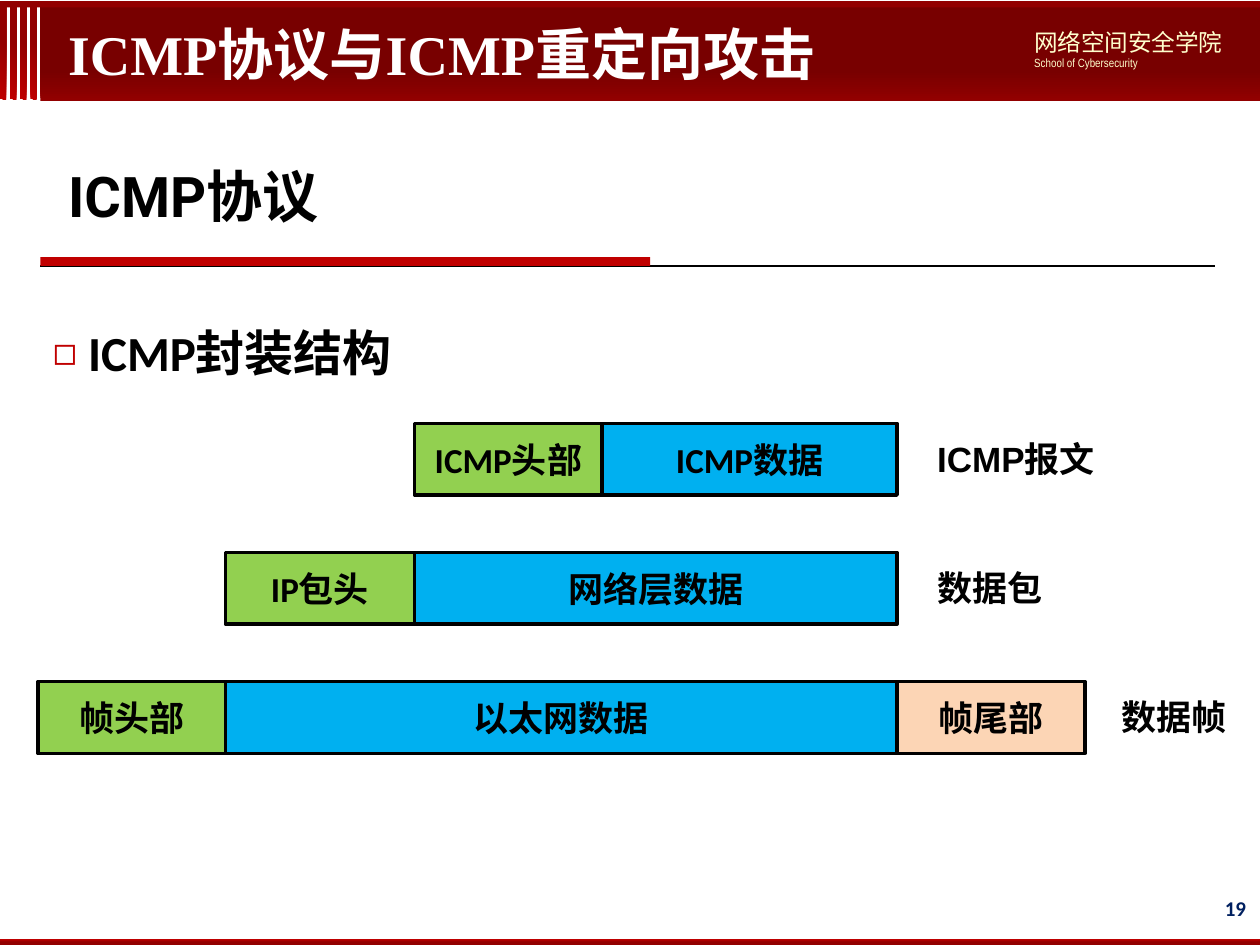
from lxml import etree
from pptx import Presentation
from pptx import util as u
from pptx.dml.color import RGBColor
from pptx.enum import shapes, text
from pptx.oxml.ns import qn

COLORS = {
    "red": "C00000", "dark": "920000", "deep": "780000", "cream": "FFFFCD",
    "white": "FFFFFF", "black": "000000", "navy": "002060",
    "header": "92D050", "data": "00B0F0", "trailer": "FCD5B5",
}
CJK_FONT = "Noto Sans CJK SC"


def rgb(name):
    return RGBColor.from_string(COLORS[name])


def inches(*lengths):
    return [u.Inches(length) for length in lengths]


def write(paragraph, content, font="Calibri", size=20, color="black", bold=True, align=None):
    """Add one run to the paragraph, with the East Asian font set as well."""
    if align is not None:
        paragraph.alignment = align
    run = paragraph.add_run()
    run.text = content
    run.font.name = font
    run.font.size = u.Pt(size)
    run.font.bold = bold
    run.font.color.rgb = rgb(color)
    etree.SubElement(run.font._element, qn("a:ea"), typeface=CJK_FONT)


def set_bullet(paragraph, char=None, color="red", percent=80, indent=0.28):
    """Set the bullet character, or remove the bullet when there is none."""
    props = paragraph._p.get_or_add_pPr()
    hang = u.Inches(indent) if char else 0
    props.set("marL", str(hang))
    props.set("indent", str(-hang))
    if not char:
        etree.SubElement(props, qn("a:buNone"))
        return
    bullet_color = etree.SubElement(props, qn("a:buClr"))
    etree.SubElement(bullet_color, qn("a:srgbClr"), val=COLORS[color])
    etree.SubElement(props, qn("a:buSzPct"), val=str(percent * 1000))
    etree.SubElement(props, qn("a:buChar"), char=char)


class LessonSlide:
    def __init__(self, prs):
        self.slide = prs.slides.add_slide(prs.slide_layouts[3])
        self.shapes = self.slide.shapes

    def block(self, left, top, width, height, fill, label=None):
        """Draw a plain rectangle, outlined when it carries a label."""
        rect = self.shapes.add_shape(
            shapes.MSO_SHAPE.RECTANGLE, *inches(left, top, width, height))
        rect.shadow.inherit = False
        rect.fill.solid()
        rect.fill.fore_color.rgb = rgb(fill)
        if label is None:
            rect.line.fill.background()
            return rect
        rect.line.color.rgb = rgb("black")
        rect.line.width = u.Pt(2)
        frame = rect.text_frame
        frame.word_wrap = True
        frame.vertical_anchor = text.MSO_ANCHOR.MIDDLE
        write(frame.paragraphs[0], label, align=text.PP_ALIGN.CENTER)
        return rect

    def gradient_block(self, left, top, width, height, stops, angle):
        fill = self.block(left, top, width, height, "dark").fill
        fill.gradient()
        fill.gradient_angle = angle
        for stop, (position, color) in zip(fill.gradient_stops, stops):
            stop.position = position
            stop.color.rgb = rgb(color)

    def rule(self, left, right, y):
        line = self.shapes.add_connector(
            shapes.MSO_CONNECTOR.STRAIGHT, *inches(left, y, right, y))
        line.line.color.rgb = rgb("black")
        line.line.width = u.Pt(1.5)
        etree.SubElement(line._element.spPr, qn("a:effectLst"))

    def textbox(self, left, top, width, height):
        frame = self.shapes.add_textbox(*inches(left, top, width, height)).text_frame
        frame.word_wrap = True
        return frame

    def placeholder(self, idx, left, top, width, height, anchor=text.MSO_ANCHOR.TOP):
        """Place a template placeholder in front and return its first paragraph."""
        holder = self.slide.placeholders[idx]
        holder.left, holder.top, holder.width, holder.height = inches(left, top, width, height)
        self.shapes._spTree.append(holder._element)
        frame = holder.text_frame
        frame.word_wrap = True
        frame.auto_size = text.MSO_AUTO_SIZE.NONE
        frame.vertical_anchor = anchor
        paragraph = frame.paragraphs[0]
        paragraph.alignment = text.PP_ALIGN.LEFT
        paragraph.space_before = u.Pt(0)
        return paragraph


def add_banner(page):
    for i in range(4):
        page.gradient_block(0.08 * i, 0.05, 0.05, 0.74, [(0, "red"), (0.62, "dark")], 45)
    page.gradient_block(0.32, 0.06, 9.68, 0.74, [(0, "dark"), (0.32, "deep")], 90)
    page.gradient_block(0, 7.45, 10, 0.05, [(0.1, "red"), (0.54, "dark")], 270)
    page.block(0, 0.01, 10, 0.05, "dark")

    school = page.textbox(8.11, 0.17, 1.81, 0.44)
    write(school.paragraphs[0], "网络空间安全学院", CJK_FONT, 13.5, "cream", False)
    write(school.add_paragraph(), "School of Cybersecurity", "Arial Narrow", 6.8, "cream", False)

    number = page.textbox(7.63, 7.01, 2.33, 0.4)
    number.vertical_anchor = text.MSO_ANCHOR.MIDDLE
    number.margin_left = number.margin_right = u.Inches(0.07)
    number.margin_top = number.margin_bottom = u.Inches(0.04)
    write(number.paragraphs[0], "19", size=12, color="navy", align=text.PP_ALIGN.RIGHT)


def add_headings(page):
    page.rule(0.32, 9.64, 2.11)
    page.block(0.32, 2.04, 4.84, 0.07, "red")

    title = page.placeholder(0, 0.44, 0.05, 6.77, 0.74, text.MSO_ANCHOR.MIDDLE)
    for part in ("ICMP", "协议与", "ICMP", "重定向攻击"):
        font = "Times New Roman" if part == "ICMP" else "Calibri"
        write(title, part, font, 32, "white")

    subtitle = page.placeholder(1, 0.44, 1.23, 9.19, 0.75)
    set_bullet(subtitle)
    write(subtitle, "ICMP协议", "Roboto", 32)

    topic = page.placeholder(2, 0.32, 2.42, 9.31, 4.59)
    topic.line_spacing = 1.2
    set_bullet(topic, "◻")
    write(topic, "ICMP封装结构", size=28)


def add_encapsulation(page):
    """Each layer wraps the one above: fields span between shared column edges."""
    edges = [0.3, 1.79, 3.29, 4.78, 7.12, 8.61]
    layers = [
        ("ICMP报文", 7.34, 1.47,
         [("ICMP头部", 2, 3, "header"), ("ICMP数据", 3, 4, "data")]),
        ("数据包", 7.34, 1.07,
         [("IP包头", 1, 2, "header"), ("网络层数据", 2, 4, "data")]),
        ("数据帧", 8.8, 1.07,
         [("帧头部", 0, 1, "header"), ("以太网数据", 1, 4, "data"),
          ("帧尾部", 4, 5, "trailer")]),
    ]
    for row, (unit, unit_left, unit_width, fields) in enumerate(layers):
        top = 3.36 + 1.025 * row
        for label, start, end, fill in fields:
            page.block(edges[start], top, edges[end] - edges[start], 0.57, fill, label)
        caption = page.textbox(unit_left, top + 0.06, unit_width, 0.44)
        write(caption.paragraphs[0], unit, "Arial")


def main():
    prs = Presentation()
    prs.slide_width, prs.slide_height = inches(10, 7.5)
    page = LessonSlide(prs)
    add_banner(page)
    add_headings(page)
    add_encapsulation(page)
    prs.save("out.pptx")


if __name__ == "__main__":
    main()
